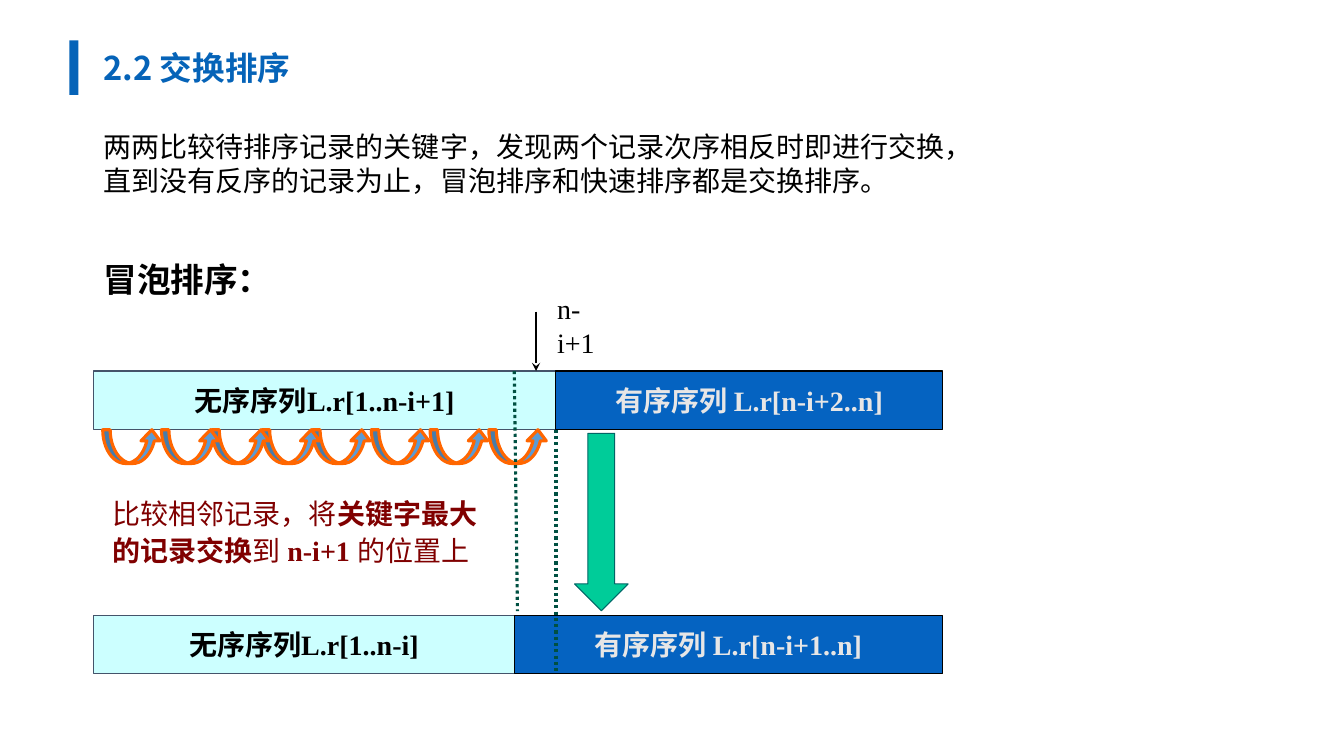
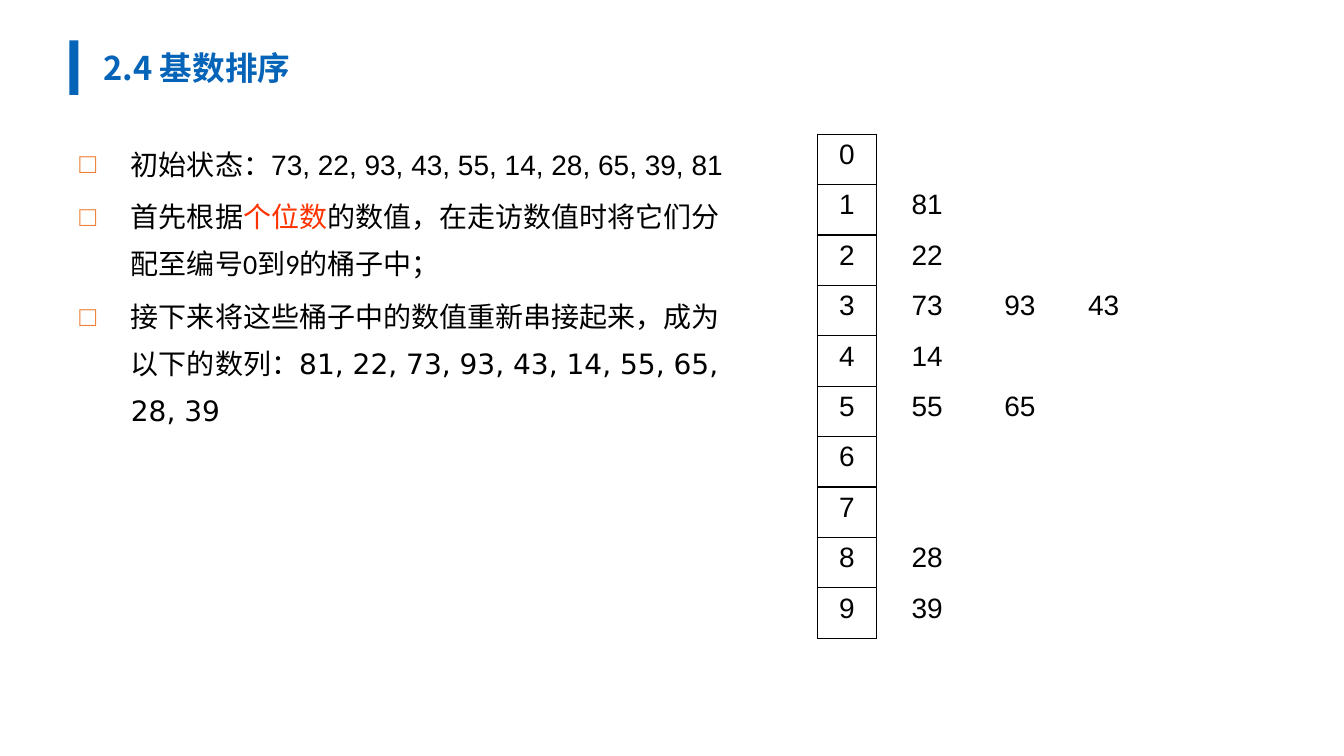
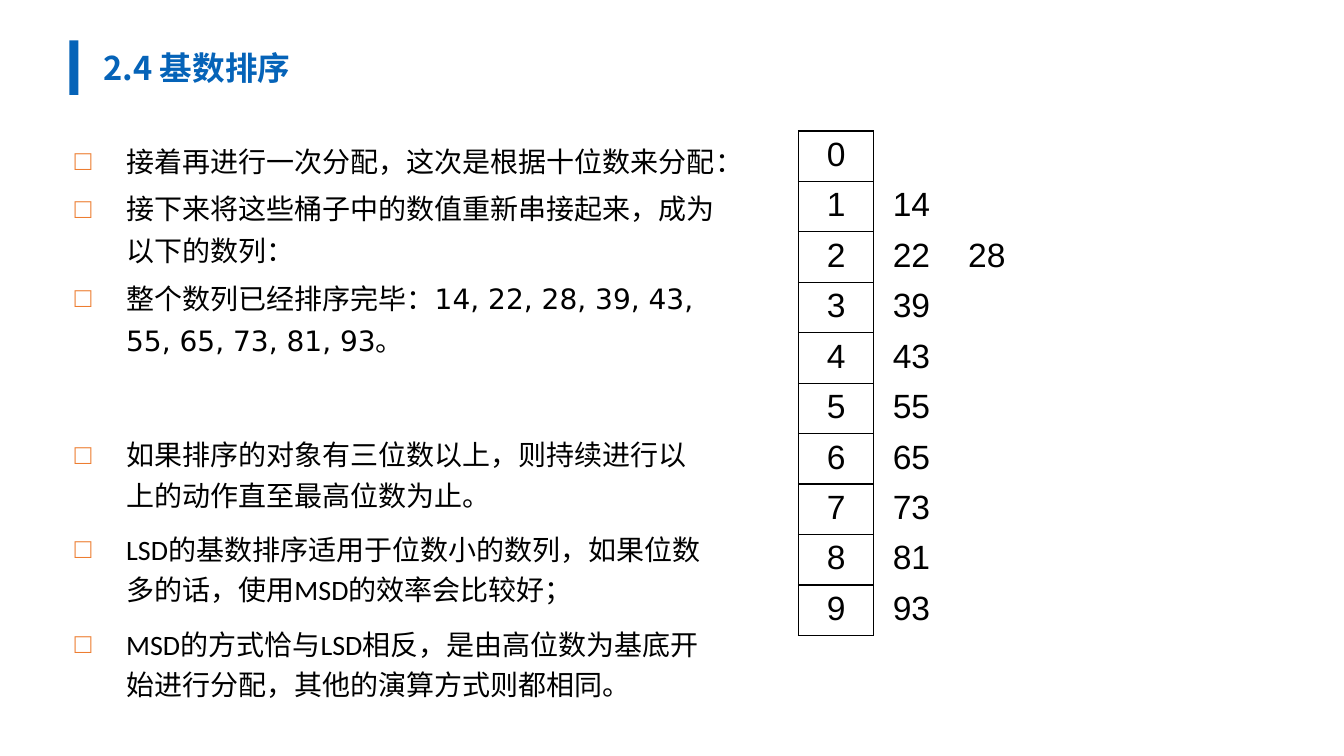
import dataclasses
import itertools

import pptx
import pptx.dml.color
import pptx.enum.dml
import pptx.enum.shapes
import pptx.enum.text
import pptx.oxml
import pptx.oxml.ns
import pptx.util

Cm = pptx.util.Cm
Pt = pptx.util.Pt
SHAPE = pptx.enum.shapes.MSO_SHAPE
ALIGN = pptx.enum.text.PP_ALIGN
ANCHOR = pptx.enum.text.MSO_ANCHOR
STRAIGHT = pptx.enum.shapes.MSO_CONNECTOR.STRAIGHT


@dataclasses.dataclass(frozen=True)
class Theme:
    accent: str = "0563B8"
    text: str = "000000"
    bullet: str = "ED7D31"
    highlight: str = "FF3300"
    note: str = "800000"
    unsorted_fill: str = "CCFFFF"
    unsorted_line: str = "44546A"
    sorted_fill: str = "0563C1"
    sorted_text: str = "E7E6E6"
    step_fill: str = "00CC99"
    step_line: str = "006666"
    swap_fill: str = "5B9BD5"
    swap_line: str = "FF6600"
    guide: str = "005042"
    title_font: str = "Noto Sans CJK SC"
    body_font: str = "Calibri"
    label_font: str = "Times New Roman"
    digit_font: str = "Arial"
    sequence_font: str = "DejaVu Sans"
    title_size: float = 23.3
    heading_size: float = 24
    body_size: float = 20


THEME = Theme()


def rgb(value):
    return pptx.dml.color.RGBColor.from_string(value)


def xml(tag, content="", attributes=""):
    """Parse one DrawingML element."""
    return pptx.oxml.parse_xml(
        f"<a:{tag} {pptx.oxml.ns.nsdecls('a')} {attributes}>{content}</a:{tag}>")


# ---- Text ----
def format_run(run, font=THEME.body_font, size=THEME.body_size,
               color=THEME.text, bold=False, east_asian=THEME.body_font):
    run.font.name = font
    run.font.size = Pt(size)
    run.font.bold = bold
    run.font.color.rgb = rgb(color)
    properties = run._r.get_or_add_rPr()
    properties.set("lang", "zh-CN")
    properties.append(xml("ea", attributes=f'typeface="{east_asian}"'))


def fill_paragraph(paragraph, pieces, **style):
    """Write pieces: plain strings, or (string, style changes)."""
    for piece in pieces:
        text, changes = (piece, {}) if isinstance(piece, str) else piece
        run = paragraph.add_run()
        run.text = text
        format_run(run, **{**style, **changes})


def add_text_box(slide, left, top, width, height, wrap=True):
    frame = slide.shapes.add_textbox(Cm(left), Cm(top), Cm(width), Cm(height)).text_frame
    frame.word_wrap = wrap
    return frame


def paragraphs_of(frame, count):
    for _ in range(count - 1):
        frame.add_paragraph()
    return frame.paragraphs


def add_bullets(slide, left, top, width, height, items, line_spacing, space_before):
    frame = add_text_box(slide, left, top, width, height)
    for paragraph, pieces in zip(paragraphs_of(frame, len(items)), items):
        fill_paragraph(paragraph, pieces)
        paragraph.line_spacing = line_spacing
        paragraph.space_before = Pt(space_before)
        properties = paragraph._p.get_or_add_pPr()
        properties.set("marL", str(Cm(1.3)))
        properties.set("indent", str(-Cm(1.3)))
        properties.append(xml("buClr", f'<a:srgbClr val="{THEME.bullet}"/>'))
        properties.append(xml("buFont", attributes=f'typeface="{THEME.digit_font}"'))
        properties.append(xml("buChar", attributes='char="□"'))


# ---- Shapes and lines ----
def add_block(slide, kind, left, top, width, height, fill, line=None, line_width=0.75):
    block = slide.shapes.add_shape(kind, Cm(left), Cm(top), Cm(width), Cm(height))
    block.shadow.inherit = False
    block.fill.solid()
    block.fill.fore_color.rgb = rgb(fill)
    if line:
        block.line.color.rgb = rgb(line)
        block.line.width = Pt(line_width)
    else:
        block.line.fill.background()
    return block


def add_line(slide, start, end, color, width):
    line = slide.shapes.add_connector(STRAIGHT, *map(Cm, start + end))
    line.line.color.rgb = rgb(color)
    line.line.width = Pt(width)
    line._element.spPr.append(xml("effectLst"))
    return line


# ---- Shared slide frame ----
def add_titled_slide(deck, title):
    slide = deck.slides.add_slide(deck.slide_layouts[6])
    add_block(slide, SHAPE.RECTANGLE, 1.75, 1.02, 0.23, 1.37, THEME.accent)
    frame = add_text_box(slide, 2.36, 1.07, 12.12, 1.24)
    frame.vertical_anchor = ANCHOR.MIDDLE
    frame.text = title
    format_run(frame.paragraphs[0].runs[0], THEME.title_font, THEME.title_size,
               THEME.accent, True, THEME.title_font)
    return slide


# ---- Exchange sort ----
def add_introduction(slide, left, top, width, height):
    frame = add_text_box(slide, left, top, width, height)
    summary, heading = paragraphs_of(frame, 2)
    fill_paragraph(summary, [
        "两两比较待排序记录的关键字，发现两个记录次序相反时即进行交换，"
        "直到没有反序的记录为止，冒泡排序和快速排序都是交换排序。"], font=THEME.title_font)
    fill_paragraph(heading, ["冒泡排序："], size=THEME.heading_size, bold=True)
    summary.space_before = summary.space_after = heading.space_after = Pt(5)
    heading.space_before = Pt(39)


def add_sequence_bar(slide, left, top, width, height, split, unsorted_label, sorted_label):
    """A bar whose sorted part begins at split, measured from the left."""
    parts = [
        (0, split, unsorted_label, THEME.unsorted_fill, THEME.unsorted_line, THEME.text),
        (split, width - split, sorted_label, THEME.sorted_fill, THEME.text, THEME.sorted_text),
    ]
    for offset, part_width, label, fill, line, color in parts:
        part = add_block(slide, SHAPE.RECTANGLE, left + offset, top, part_width, height,
                         fill, line)
        frame = part.text_frame
        frame.word_wrap = False
        frame.vertical_anchor = ANCHOR.MIDDLE
        frame.text = label
        frame.paragraphs[0].alignment = ALIGN.CENTER
        format_run(frame.paragraphs[0].runs[0], THEME.label_font, color=color, bold=True)


def add_swap_arrows(slide, left, top):
    steps = [1.48, 1.27, 1.27, 1.27, 1.48, 1.48, 1.48]
    offsets = list(itertools.accumulate(steps, initial=0))
    for offset in reversed(offsets):
        swap = add_block(slide, SHAPE.CURVED_UP_ARROW, left + offset, top, 1.48, 0.85,
                         THEME.swap_fill, THEME.swap_line, 2.25)
        for index, value in enumerate((0.22, 0.57, 0.33)):
            swap.adjustments[index] = value


def add_bubble_pass(slide, left, top):
    """One pass of bubble sort: the bar before, the swaps, the bar after."""
    width, height, after = 21.39, 1.48, 6.15
    split_before, split_after = 11.65, 10.6

    # Sequences before and after the pass
    add_sequence_bar(slide, left, top, width, height, split_before,
                     "无序序列L.r[1..n-i+1]", "有序序列 L.r[n-i+2..n]")
    add_sequence_bar(slide, left, top + after, width, height, split_after,
                     "无序序列L.r[1..n-i]", "有序序列 L.r[n-i+1..n]")

    # Pointer to the last unsorted place
    pointer_x = left + 11.15
    pointer = add_line(slide, (pointer_x, top - 1.5), (pointer_x, top), THEME.text, 1.5)
    pointer.line._get_or_add_ln().append(xml("tailEnd", attributes='type="stealth"'))
    index_frame = add_text_box(slide, left + 11.43, top - 2.13, 2.03, 1.12, wrap=False)
    fill_paragraph(index_frame.paragraphs[0], ["n-i+1"], font=THEME.label_font)

    # Step from before to after, with its explanation
    add_block(slide, SHAPE.DOWN_ARROW, left + 12.12, top + 1.57, 1.35, 4.47,
              THEME.step_fill, THEME.step_line)
    note = add_text_box(slide, left + 0.23, top + 2.95, 9.96, 2.13).paragraphs[0]
    fill_paragraph(note, [
        "比较相邻记录，将", ("关键字最大的记录交换", {"bold": True}), "到",
        (" n-i+1 ", {"bold": True}), "的位置上",
    ], font=THEME.label_font, color=THEME.note)
    note.line_spacing = 1.1

    add_swap_arrows(slide, left + 0.23, top + height)

    # Guides along the old and new borders
    old_border, new_border = left + split_before, left + split_after
    guides = [((old_border, top + height), (old_border, top + after + height)),
              ((new_border, top), (new_border + 0.08, top + 6.05))]
    for start, end in guides:
        guide = add_line(slide, start, end, THEME.guide, 2.25)
        guide.line.dash_style = pptx.enum.dml.MSO_LINE.ROUND_DOT


def build_exchange_sort(deck):
    slide = add_titled_slide(deck, "2.2 交换排序")
    add_introduction(slide, 2.36, 3.15, 22.23, 2.54)
    add_bubble_pass(slide, 2.36, 9.35)


# ---- Radix sort ----
def distribute(values, place):
    """Put each value in the bucket of its digit at place (1, 10, ...)."""
    buckets = [[] for _ in range(10)]
    for value in values:
        buckets[value // place % 10].append(value)
    return buckets


def join_values(values):
    return ", ".join(map(str, values))


def set_cell_borders(cell, black_sides):
    properties = cell._tc.get_or_add_tcPr()
    black = f'<a:solidFill><a:srgbClr val="{THEME.text}"/></a:solidFill>'
    for position, side in enumerate("LRTB"):
        paint = black if side in black_sides else "<a:noFill/>"
        properties.insert(position, xml(f"ln{side}", paint, f'w="{Pt(1)}"'))


def add_bucket_table(slide, left, top, column_widths, row_height, buckets, size):
    table = slide.shapes.add_table(
        len(buckets), len(column_widths), Cm(left), Cm(top),
        Cm(sum(column_widths)), Cm(row_height * len(buckets))).table
    table.first_row = table.horz_banding = False
    for column, width in zip(table.columns, column_widths):
        column.width = Cm(width)
    for digit, bucket in enumerate(buckets):
        table.rows[digit].height = Cm(row_height)
        entries = [digit] + bucket
        for index, cell in enumerate(table.rows[digit].cells):
            cell.fill.background()
            set_cell_borders(cell, ("LRTB", "L")[index] if index < 2 else "")
            if index < len(entries):
                cell.text = str(entries[index])
                paragraph = cell.text_frame.paragraphs[0]
                paragraph.alignment = ALIGN.CENTER
                format_run(paragraph.runs[0], THEME.digit_font, size)


def build_units_pass(deck, values, buckets, collected):
    slide = add_titled_slide(deck, "2.4 基数排序")
    add_bullets(slide, 1.75, 3.25, 17.07, 10.85, [
        ["初始状态：", (join_values(values), {"font": THEME.digit_font})],
        ["首先根据", ("个位数", {"color": THEME.highlight}),
         "的数值，在走访数值时将它们分配至编号0到9的桶子中；"],
        ["接下来将这些桶子中的数值重新串接起来，成为以下的数列：",
         (join_values(collected), {"font": THEME.sequence_font})],
    ], line_spacing=1.4, space_before=4)
    add_bucket_table(slide, 20.6, 3.38, [1.48, 2.57, 2.11, 2.11], 1.27, buckets,
                     THEME.body_size)


def build_tens_pass(deck, buckets, collected):
    slide = add_titled_slide(deck, "2.4 基数排序")
    add_bullets(slide, 1.63, 3.3, 16.66, 6.48, [
        ["接着再进行一次分配，这次是根据十位数来分配："],
        ["接下来将这些桶子中的数值重新串接起来，成为以下的数列："],
        ["整个数列已经排序完毕：",
         (join_values(collected), {"font": THEME.sequence_font}), "。"],
    ], line_spacing=1.25, space_before=4)
    add_bucket_table(slide, 20.12, 3.3, [1.9] * 3, 1.27, buckets, THEME.heading_size)
    add_bullets(slide, 1.63, 10.74, 16.54, 7.62, [
        ["如果排序的对象有三位数以上，则持续进行以上的动作直至最高位数为止。"],
        ["LSD的基数排序适用于位数小的数列，如果位数多的话，使用MSD的效率会比较好；"],
        ["MSD的方式恰与LSD相反，是由高位数为基底开始进行分配，其他的演算方式则都相同。"],
    ], line_spacing=1.2, space_before=10)


def main():
    deck = pptx.Presentation()
    deck.slide_width, deck.slide_height = Cm(33.87), Cm(19.05)

    build_exchange_sort(deck)

    values = [73, 22, 93, 43, 55, 14, 28, 65, 39, 81]
    by_units = distribute(values, 1)
    # The sequence as the slide lists it: 14 is collected before 55
    after_units = list(itertools.chain.from_iterable(by_units))
    by_tens = distribute(after_units, 10)
    after_tens = list(itertools.chain.from_iterable(by_tens))
    build_units_pass(deck, values, by_units, after_units)
    build_tens_pass(deck, by_tens, after_tens)

    deck.save("out.pptx")


if __name__ == "__main__":
    main()
